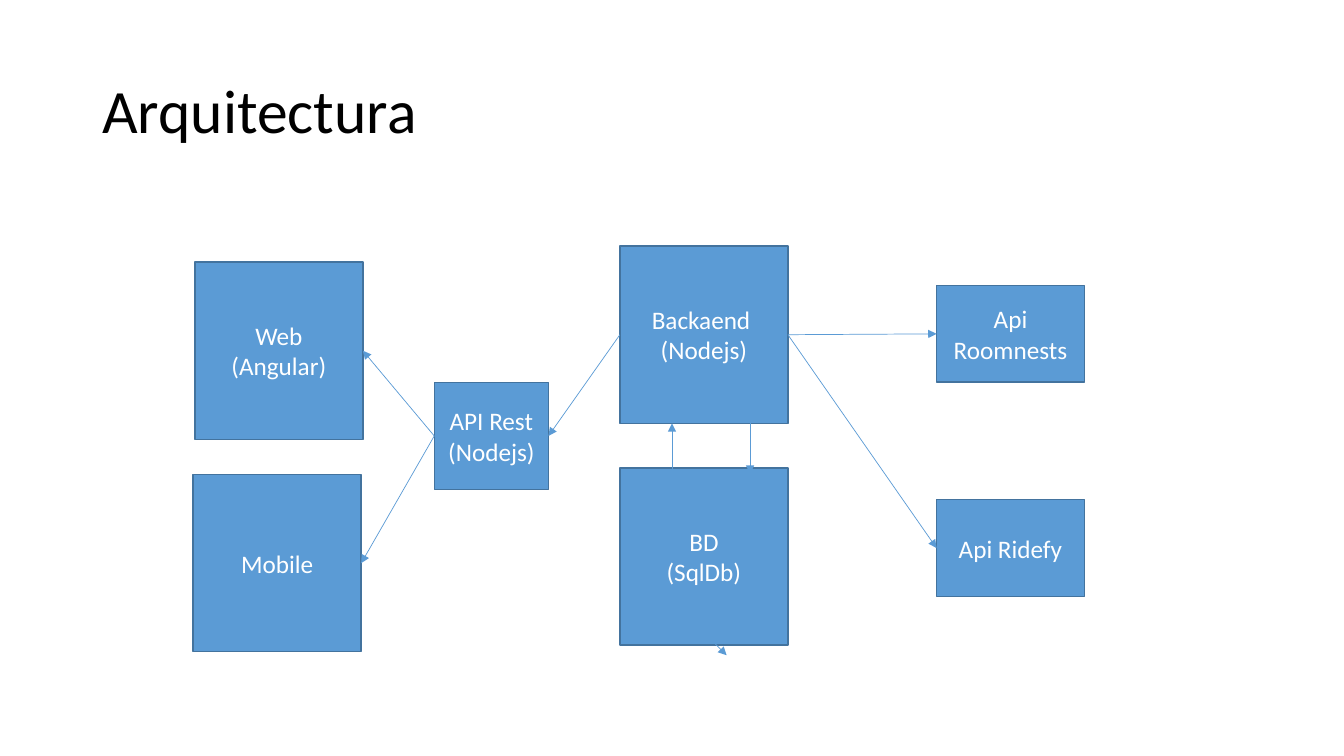
from enum import IntEnum
from typing import NamedTuple

from lxml.etree import SubElement
from pptx import Presentation
from pptx.dml.color import RGBColor
from pptx.enum.shapes import MSO_CONNECTOR, MSO_SHAPE
from pptx.enum.text import MSO_ANCHOR, PP_ALIGN
from pptx.oxml.ns import qn
from pptx.util import Inches, Pt

COLORS = {"box": "5B9BD5", "edge": "43739E", "text": "FFFFFF", "title": "000000"}
FONT = "Calibri"
UNIT = Inches(7.5) // 9  # square grid: 16 columns by 9 rows


class Side(IntEnum):
    TOP = 0
    LEFT = 1
    BOTTOM = 2
    RIGHT = 3


class Size(NamedTuple):
    cols: float
    rows: float


class Box(NamedTuple):
    name: str
    text: str
    col: float
    row: float
    size: Size


class Link(NamedTuple):
    start: str
    start_side: Side
    end: str
    end_side: Side


class Arrow(NamedTuple):
    col1: float
    row1: float
    col2: float
    row2: float


LARGE, MEDIUM, SMALL = Size(2, 2.11), Size(1.76, 1.15), Size(1.36, 1.28)

BOXES = [
    Box("rides", "Api Ridefy", 11.15, 5.95, MEDIUM),
    Box("hotels", "Api Roomnests", 11.15, 3.4, MEDIUM),
    Box("backend", "Backaend \n(Nodejs)", 7.38, 2.93, LARGE),
    Box("database", "BD\n(SqlDb)", 7.38, 5.57, LARGE),
    Box("web", "Web\n(Angular)", 2.32, 3.12, LARGE),
    Box("mobile", "Mobile", 2.3, 5.65, LARGE),
    Box("rest", "API Rest\n(Nodejs)", 5.17, 4.55, SMALL),
]
LINKS = [
    Link("backend", Side.LEFT, "rest", Side.RIGHT),
    Link("rest", Side.LEFT, "web", Side.RIGHT),
    Link("rest", Side.LEFT, "mobile", Side.RIGHT),
    Link("backend", Side.RIGHT, "hotels", Side.LEFT),
    Link("backend", Side.RIGHT, "rides", Side.LEFT),
]
ARROWS = [
    Arrow(7.45, 6.6, 8.65, 7.8),
    Arrow(8.93, 5.04, 8.93, 5.64),
    Arrow(8, 5.66, 8, 5.04),
]


def grid(n: float) -> int:
    return round(n * UNIT)


def rgb(name: str) -> RGBColor:
    return RGBColor.from_string(COLORS[name])


def write(tf, text: str, size: int, color: str, align: PP_ALIGN) -> None:
    tf.word_wrap = True
    tf.vertical_anchor = MSO_ANCHOR.MIDDLE
    tf.text = text
    for p in tf.paragraphs:
        p.alignment = align
        for r in p.runs:
            r.font.name, r.font.size = FONT, Pt(size)
            r.font.color.rgb = rgb(color)


def add_box(s, box: Box):
    sp = s.shapes.add_shape(MSO_SHAPE.RECTANGLE, grid(box.col), grid(box.row),
                            grid(box.size.cols), grid(box.size.rows))
    sp.shadow.inherit = False
    sp.fill.solid()
    sp.fill.fore_color.rgb = rgb("box")
    sp.line.color.rgb = rgb("edge")
    sp.line.width = Pt(1)
    write(sp.text_frame, box.text, 18, "text", PP_ALIGN.CENTER)
    return sp


def add_arrow(s, arrow: Arrow):
    cx = s.shapes.add_connector(MSO_CONNECTOR.STRAIGHT, *map(grid, arrow))
    cx.line.color.rgb = rgb("box")
    cx.line.width = Pt(0.5)
    SubElement(cx.line._get_or_add_ln(), qn("a:tailEnd"), type="triangle")
    SubElement(cx._element.spPr, qn("a:effectLst"))
    return cx


prs = Presentation()
prs.slide_width, prs.slide_height = 16 * UNIT, 9 * UNIT
s = prs.slides.add_slide(prs.slide_layouts[6])

# Title
title = s.shapes.add_textbox(grid(1.1), grid(0.48), grid(13.8), grid(1.74))
write(title.text_frame, "Arquitectura", 44, "title", PP_ALIGN.LEFT)
title.text_frame.paragraphs[0].line_spacing = 0.9

# Components
shapes = {box.name: add_box(s, box) for box in BOXES}

# Free arrows around the database
for arrow in ARROWS:
    add_arrow(s, arrow)

# Arrows glued to the components
for link in LINKS:
    cx = add_arrow(s, Arrow(0, 0, 0, 0))
    cx.begin_connect(shapes[link.start], link.start_side)
    cx.end_connect(shapes[link.end], link.end_side)

prs.save("out.pptx")
